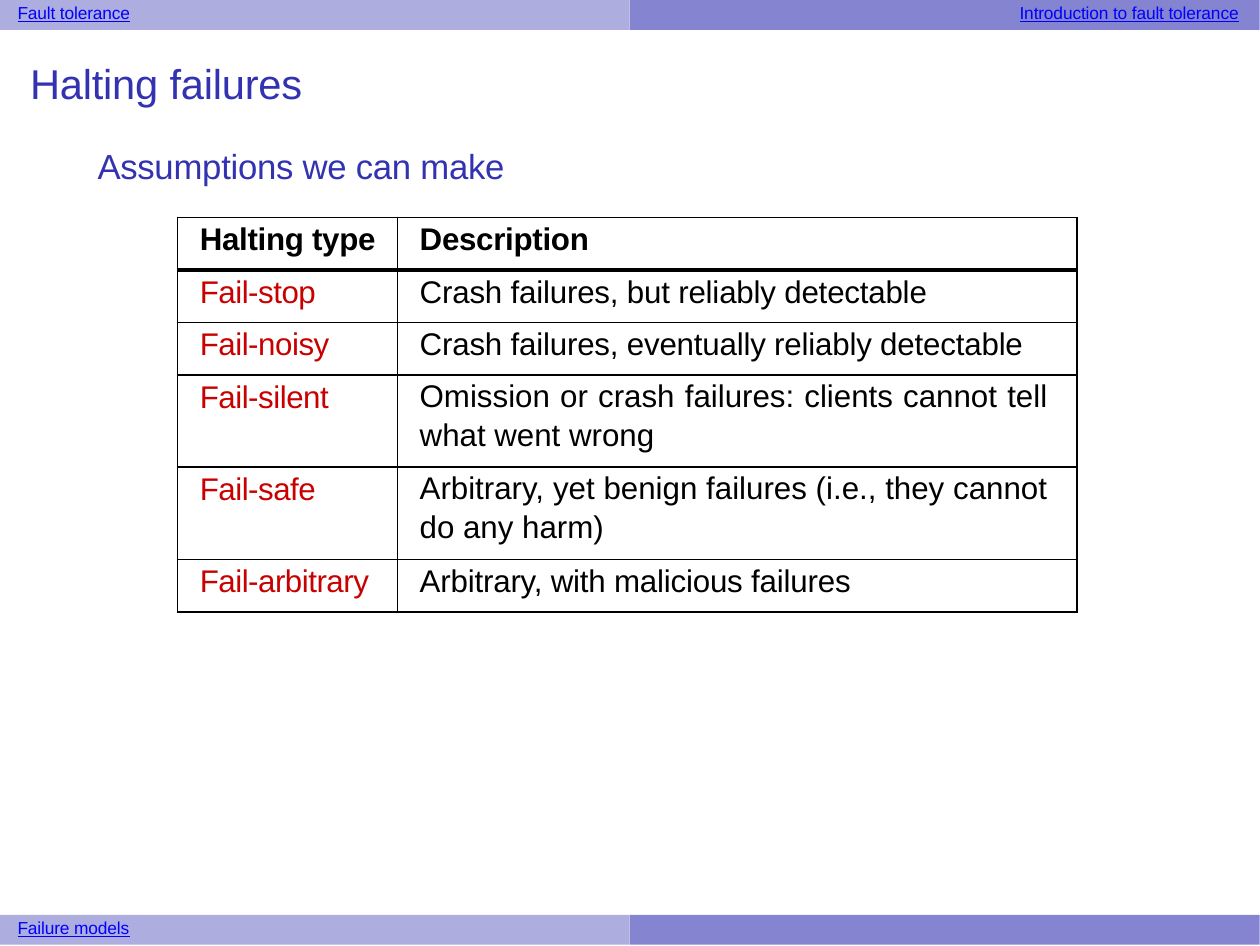
from dataclasses import dataclass

from lxml.etree import SubElement
from pptx import Presentation
from pptx.dml.color import RGBColor
from pptx.enum.shapes import MSO_SHAPE as Shape
from pptx.enum.text import MSO_ANCHOR as Anchor, MSO_AUTO_SIZE as AutoSize, PP_ALIGN as Align
from pptx.oxml.ns import qn
from pptx.util import Inches, Pt


@dataclass(frozen=True)
class Theme:
    font: str = "Arial"
    light_bar: str = "ADADE0"
    dark_bar: str = "8484D1"
    link: str = "0000FF"
    heading: str = "3333B2"
    text: str = "000000"
    failure: str = "C80000"
    link_size: float = 5
    title_size: float = 12
    subtitle_size: float = 10
    table_size: float = 9
    thin_rule: float = 0.5
    thick_rule: float = 1.5


@dataclass(frozen=True)
class Area:
    left: float
    top: float
    width: float
    height: float

    def lengths(self) -> tuple:
        return tuple(Inches(n) for n in (self.left, self.top, self.width, self.height))


@dataclass(frozen=True)
class TextStyle:
    size: float
    color: str
    bold: bool = False
    underline: bool = False
    tracking: float = 0


@dataclass(frozen=True)
class BarLabel:
    text: str
    area: Area


@dataclass(frozen=True)
class HaltingType:
    name: str
    description: str
    wraps: bool = False


THEME = Theme()
PAGE_SIZE = {"slide_width": Pt(363), "slide_height": Pt(272.5)}
BAR_WIDTH, BAR_HEIGHT, FOOTER_TOP = 2.52, 0.12, 3.66

LABELS = [
    BarLabel("Fault tolerance", Area(0.07, 0, 0.48, 0.11)),
    BarLabel("Introduction to fault tolerance", Area(4.08, 0, 0.92, 0.11)),
    BarLabel("Failure models", Area(0.07, FOOTER_TOP, 0.48, 0.11)),
]
HEADER = HaltingType("Halting type", "Description")
HALTING_TYPES = [
    HaltingType("Fail-stop", "Crash failures, but reliably detectable"),
    HaltingType("Fail-noisy", "Crash failures, eventually reliably detectable"),
    HaltingType("Fail-silent", "Omission or crash failures: clients cannot tell what went wrong", True),
    HaltingType("Fail-safe", "Arbitrary, yet benign failures (i.e., they cannot do any harm)", True),
    HaltingType("Fail-arbitrary", "Arbitrary, with malicious failures"),
]
TABLE_AREA = Area(0.71, 0.87, 3.6, 1.59)
COLUMN_WIDTHS = (0.88, 2.72)
ROW_HEIGHT, WRAPPED_ROW_HEIGHT = 0.21, 0.37


def set_all(target, values: dict) -> None:
    for name, value in values.items():
        setattr(target, name, value)


def write(frame, text: str, style: TextStyle):
    """Fill the frame's first paragraph with one styled span and return the paragraph."""
    para = frame.paragraphs[0]
    span = para.add_run()
    span.text = text
    set_all(span.font, {"name": THEME.font, "size": Pt(style.size),
                        "bold": style.bold, "underline": style.underline})
    span.font.color.rgb = RGBColor.from_string(style.color)
    span.font._element.set("spc", str(round(style.tracking * 100)))
    return para


def prepare_frame(frame, top_inset: float = 0, wrap: bool = True) -> None:
    set_all(frame, {"margin_left": 0, "margin_right": 0, "margin_bottom": 0,
                    "margin_top": Inches(top_inset), "word_wrap": wrap,
                    "auto_size": AutoSize.NONE, "vertical_anchor": Anchor.TOP})


def add_bar(page, area: Area, color: str) -> None:
    bar = page.shapes.add_shape(Shape.RECTANGLE, *area.lengths())
    bar.shadow.inherit = False
    bar.fill.solid()
    bar.fill.fore_color.rgb = RGBColor.from_string(color)
    bar.line.fill.background()


def add_label(page, label: BarLabel) -> None:
    box = page.shapes.add_textbox(*label.area.lengths())
    prepare_frame(box.text_frame, 0.01, wrap=False)
    write(box.text_frame, label.text,
          TextStyle(THEME.link_size, THEME.link, underline=True, tracking=-0.06))


def fill_placeholder(holder, area: Area, text: str, size: float) -> None:
    place = dict(zip(("left", "top", "width", "height"), area.lengths()))
    set_all(holder, place)
    prepare_frame(holder.text_frame)
    para = holder.text_frame.paragraphs[0]
    settings = para._p.get_or_add_pPr()
    settings.set("marL", "0")
    settings.set("indent", "0")
    SubElement(settings, qn("a:buNone"))
    set_all(para, {"alignment": Align.LEFT, "space_before": Pt(0)})
    write(holder.text_frame, text, TextStyle(size, THEME.heading, tracking=-0.05))


def set_borders(cell, top: float, bottom: float) -> None:
    widths = {"a:lnL": THEME.thin_rule, "a:lnR": THEME.thin_rule, "a:lnT": top, "a:lnB": bottom}
    for tag, width in widths.items():
        line = SubElement(cell._tc.get_or_add_tcPr(), qn(tag), w=str(Pt(width)))
        SubElement(SubElement(line, qn("a:solidFill")), qn("a:srgbClr"), val=THEME.text)


def fill_cell(cell, text: str, style: TextStyle, row: int, wraps: bool) -> None:
    set_all(cell, {"margin_left": Inches(0.09), "margin_right": Inches(0.12 if wraps else 0),
                   "margin_top": Inches(0 if wraps else 0.02), "margin_bottom": 0,
                   "vertical_anchor": Anchor.TOP})
    set_borders(cell, THEME.thick_rule if row == 1 else THEME.thin_rule,
                THEME.thick_rule if row == 0 else THEME.thin_rule)
    cell.fill.background()
    para = write(cell.text_frame, text, style)
    if wraps:
        set_all(para, {"line_spacing": 1.12, "alignment": Align.JUSTIFY})


def add_halting_table(page) -> None:
    entries = [HEADER, *HALTING_TYPES]
    table = page.shapes.add_table(len(entries), len(COLUMN_WIDTHS), *TABLE_AREA.lengths()).table
    set_all(table, {"first_row": False, "horz_banding": False})
    for column, width in zip(table.columns, COLUMN_WIDTHS):
        column.width = Inches(width)
    size = THEME.table_size
    heading = TextStyle(size, THEME.text, bold=True, tracking=-0.08)
    name_style = TextStyle(size, THEME.failure, tracking=-0.15)
    for row, entry in enumerate(entries):
        table.rows[row].height = Inches(WRAPPED_ROW_HEIGHT if entry.wraps else ROW_HEIGHT)
        description_style = TextStyle(size, THEME.text, tracking=0 if entry.wraps else -0.06)
        styles = (heading, heading) if entry is HEADER else (name_style, description_style)
        fill_cell(table.cell(row, 0), entry.name, styles[0], row, False)
        fill_cell(table.cell(row, 1), entry.description, styles[1], row, entry.wraps)


def main() -> None:
    deck = Presentation()
    set_all(deck, PAGE_SIZE)
    page = deck.slides.add_slide(deck.slide_layouts[1])
    for top in (0, FOOTER_TOP):
        for left, color in ((0, THEME.light_bar), (BAR_WIDTH, THEME.dark_bar)):
            add_bar(page, Area(left, top, BAR_WIDTH, BAR_HEIGHT), color)
    for label in LABELS:
        add_label(page, label)
    title, subtitle = page.placeholders
    fill_placeholder(title, Area(0.12, 0.23, 1.93, 0.2), "Halting failures", THEME.title_size)
    fill_placeholder(subtitle, Area(0.39, 0.58, 1.8, 0.18),
                     "Assumptions we can make", THEME.subtitle_size)
    add_halting_table(page)
    deck.save("out.pptx")


if __name__ == "__main__":
    main()
